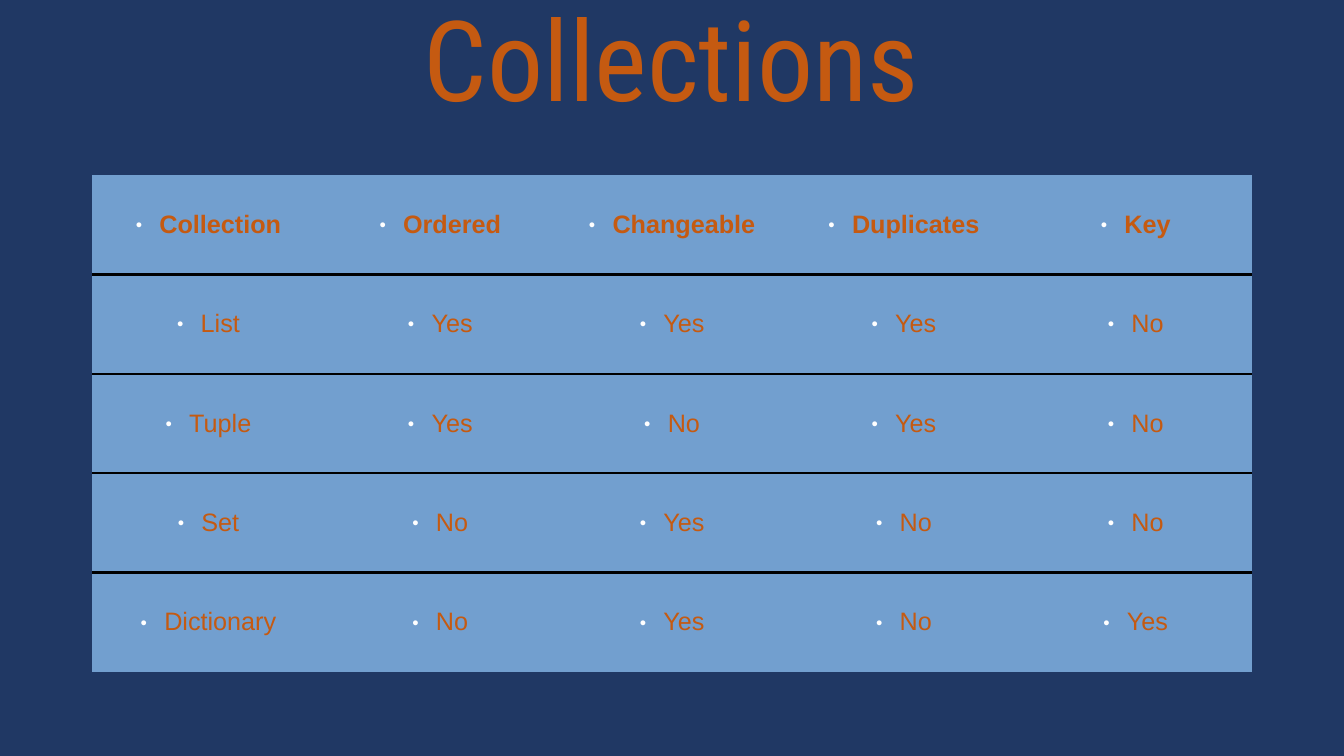
from lxml import etree
from pptx import Presentation
from pptx.dml.color import RGBColor
from pptx.enum.text import MSO_ANCHOR, PP_ALIGN
from pptx.oxml.ns import qn
from pptx.util import Cm, Pt

CENTER = PP_ALIGN.CENTER
TOP = MSO_ANCHOR.TOP
MIDDLE = MSO_ANCHOR.MIDDLE

TITLE = "Collections"
ROWS = [
    ("Collection", "Ordered", "Changeable", "Duplicates", "Key"),
    ("List", "Yes", "Yes", "Yes", "No"),
    ("Tuple", "Yes", "No", "Yes", "No"),
    ("Set", "No", "Yes", "No", "No"),
    ("Dictionary", "No", "Yes", "No", "Yes"),
]
COLORS = {
    "background": "203864",
    "text": "C55A11",
    "cell": "729FCF",
    "bullet": "FFFFFF",
    "rule": "000000",
}
RULE_WIDTHS = [0, 2, 1.4, 1.4, 2, 0]

SLIDE_WIDTH, SLIDE_HEIGHT = Cm(33.87), Cm(19.05)
LEFT, CONTENT_WIDTH = Cm(2.33), Cm(29.21)
TITLE_HEIGHT = Cm(4)
TABLE_TOP, TABLE_HEIGHT = Cm(4.41), Cm(12.52)
CELL_SIDE, CELL_EDGE = Cm(0.36), Cm(0.13)
INDENT = Cm(0.6)


def rgb(name):
    return RGBColor.from_string(COLORS[name])


def add_run(paragraph, text, font_name, size, bold=False):
    run = paragraph.add_run()
    run.text = text
    run.font.name = font_name
    run.font.size = Pt(size)
    run.font.bold = bold
    run.font.color.rgb = rgb("text")


def add_color(parent, name):
    etree.SubElement(parent, qn("a:srgbClr"), val=COLORS[name])


def add_bullet(paragraph):
    properties = paragraph._p.get_or_add_pPr()
    properties.set("marL", str(INDENT))
    properties.set("indent", str(-INDENT))
    add_color(etree.SubElement(properties, qn("a:buClr")), "bullet")
    etree.SubElement(properties, qn("a:buSzPct"), val="45000")
    etree.SubElement(properties, qn("a:buFont"), typeface="Arial")
    etree.SubElement(properties, qn("a:buChar"), char="●")


def add_border(cell, side, points):
    properties = cell._tc.get_or_add_tcPr()
    line = etree.SubElement(properties, qn(f"a:ln{side}"), w=str(Pt(points)))
    if points:
        add_color(etree.SubElement(line, qn("a:solidFill")), "rule")
    else:
        etree.SubElement(line, qn("a:noFill"))


def add_title(slide):
    box = slide.shapes.add_textbox(LEFT, 0, CONTENT_WIDTH, TITLE_HEIGHT)
    frame = box.text_frame
    frame.word_wrap = True
    frame.vertical_anchor = TOP
    paragraph = frame.paragraphs[0]
    paragraph.alignment = CENTER
    paragraph.line_spacing = 0.9
    paragraph.space_before = Pt(10)
    add_run(paragraph, TITLE, "Roboto Condensed", 80)


def fill_cell(cell, text, row):
    cell.vertical_anchor = MIDDLE
    cell.margin_left = cell.margin_right = CELL_SIDE
    cell.margin_top = cell.margin_bottom = CELL_EDGE
    for side, points in (
        ("L", 0), ("R", 0), ("T", RULE_WIDTHS[row]), ("B", RULE_WIDTHS[row + 1]),
    ):
        add_border(cell, side, points)
    cell.fill.solid()
    cell.fill.fore_color.rgb = rgb("cell")
    paragraph = cell.text_frame.paragraphs[0]
    paragraph.alignment = CENTER
    add_bullet(paragraph)
    add_run(paragraph, text, "Arial", 18, bold=row == 0)


def add_collections_table(slide):
    table = slide.shapes.add_table(
        len(ROWS), len(ROWS[0]), LEFT, TABLE_TOP, CONTENT_WIDTH, TABLE_HEIGHT
    ).table
    table.first_row = True
    table.horz_banding = False
    for row, texts in enumerate(ROWS):
        for column, text in enumerate(texts):
            fill_cell(table.cell(row, column), text, row)


def main():
    presentation = Presentation()
    presentation.slide_width = SLIDE_WIDTH
    presentation.slide_height = SLIDE_HEIGHT
    slide = presentation.slides.add_slide(presentation.slide_layouts[6])
    slide.background.fill.solid()
    slide.background.fill.fore_color.rgb = rgb("background")
    add_title(slide)
    add_collections_table(slide)
    presentation.save("out.pptx")


if __name__ == "__main__":
    main()
